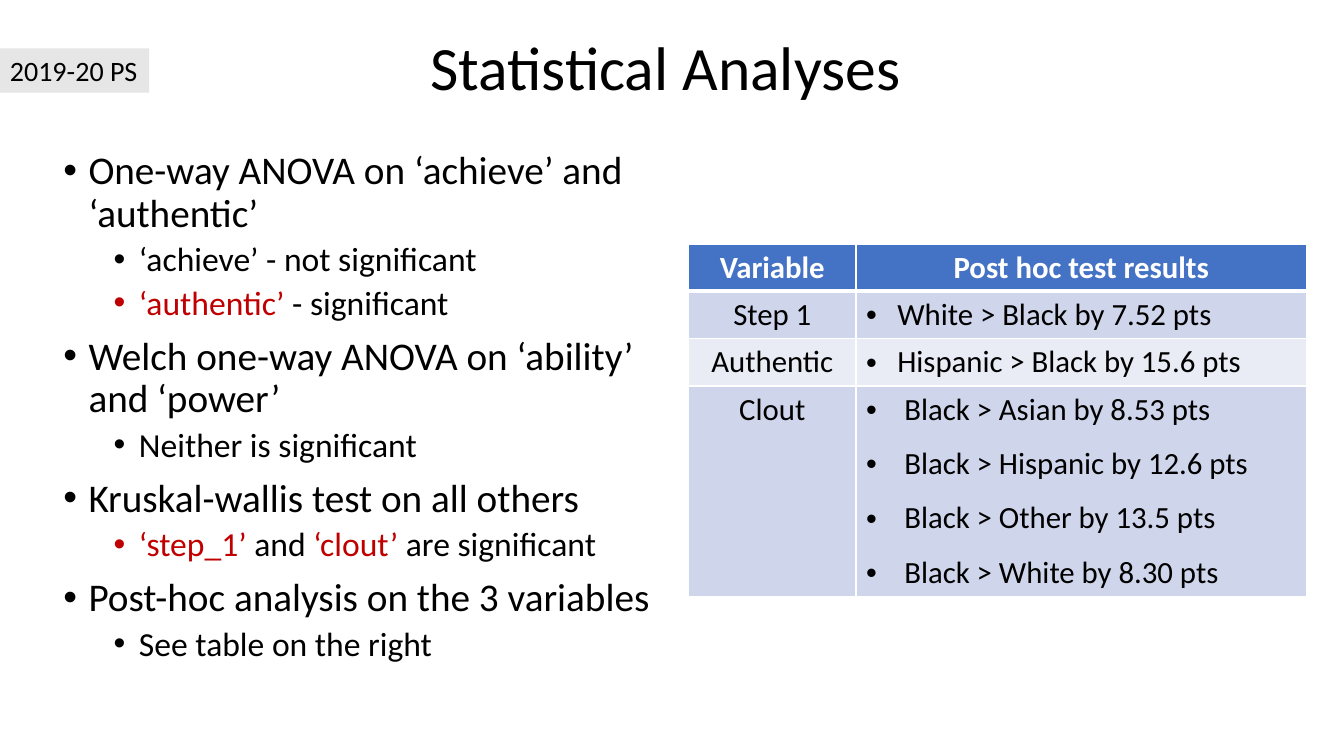
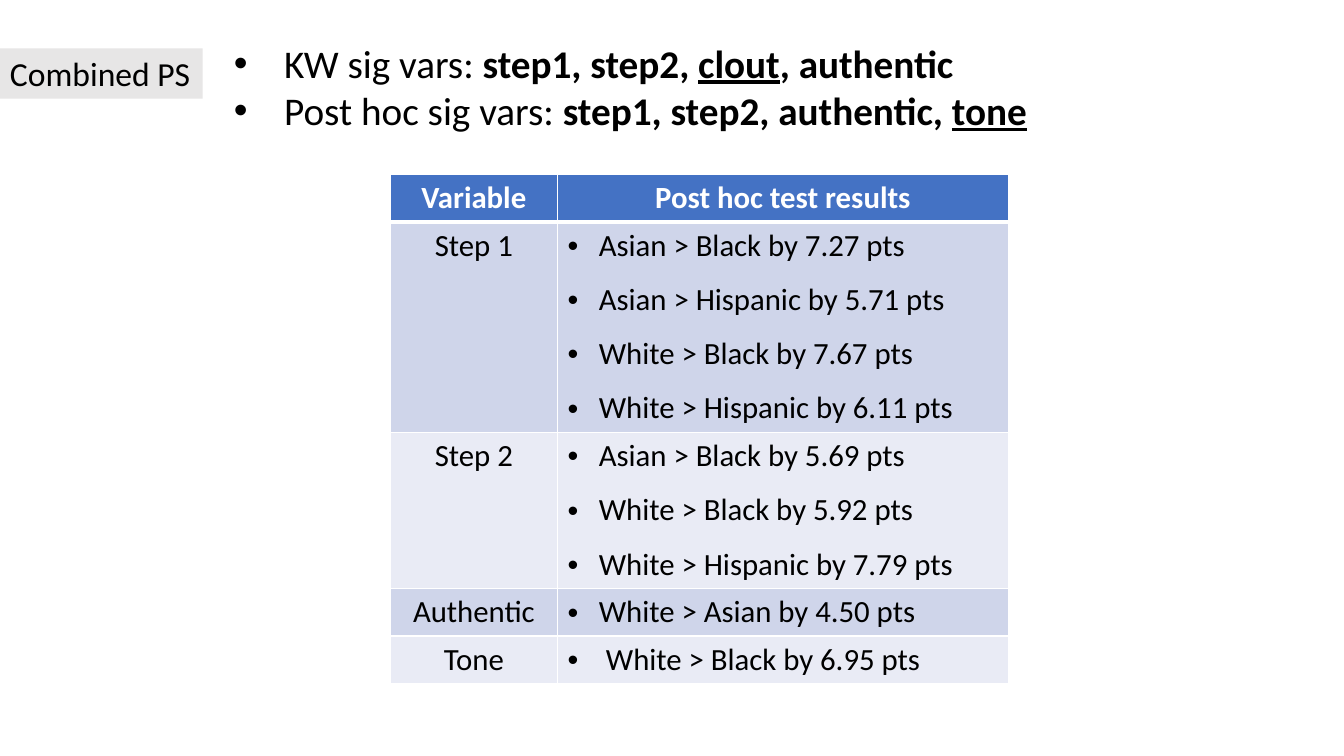
from dataclasses import dataclass, field
from typing import Any, NamedTuple

from lxml.etree import SubElement
from pptx import Presentation
from pptx.dml.color import RGBColor
from pptx.enum.text import MSO_ANCHOR, MSO_AUTO_SIZE, PP_ALIGN
from pptx.oxml.ns import qn
from pptx.util import Inches, Pt

# Shared style
FONT = "Calibri"
COLORS = {
    "text": "000000",
    "accent": "C00000",
    "tag": "E7E6E6",
    "header": "4472C4",
    "white": "FFFFFF",
    "odd": "CFD5EA",
    "even": "E9EBF5",
}
COL_WIDTHS = (1.66, 4.47)
LINE_H, LINE_STEP = 0.47, 0.54  # single-line row, each further line
CELL_SIZE = 22


class Run(NamedTuple):
    text: str
    color: str = "text"
    format: dict[str, Any] = {}


@dataclass
class Para:
    runs: list[Run]
    size: int
    indent: float = 0  # bullet width, no bullet when 0
    left: float = 0
    format: dict[str, Any] = field(default_factory=dict)


class Result(NamedTuple):
    variable: str
    findings: list[str]
    indent: float = 0.31


def rgb(name: str) -> RGBColor:
    return RGBColor.from_string(COLORS[name])


def set_all(obj: Any, values: dict[str, Any]) -> None:
    for name, value in values.items():
        setattr(obj, name, value)


def write(tf: Any, paras: list[Para]) -> None:
    """Fill a text frame with formatted paragraphs."""
    for i, para in enumerate(paras):
        p = tf.add_paragraph() if i else tf.paragraphs[0]
        set_all(p, para.format)
        if para.indent:
            pPr = p._p.get_or_add_pPr()
            pPr.set("marL", str(Inches(para.left + para.indent)))
            pPr.set("indent", str(-Inches(para.indent)))
            SubElement(pPr, qn("a:buFont"), typeface="Arial")
            SubElement(pPr, qn("a:buChar"), char="•")
        for run in para.runs:
            r = p.add_run()
            r.text = run.text
            set_all(r.font, {"name": FONT, "size": Pt(para.size), **run.format})
            r.font.color.rgb = rgb(run.color)


def add_text(s: Any, box: tuple[float, ...], paras: list[Para], **frame: Any) -> Any:
    sp = s.shapes.add_textbox(*map(Inches, box))
    set_all(sp.text_frame, {"word_wrap": True, **frame})
    write(sp.text_frame, paras)
    return sp


def add_tag(s: Any, text: str, width: float, height: float, size: int) -> None:
    """Grey label on the left edge."""
    sp = add_text(s, (0, 0.48, width, height), [Para([Run(text)], size)],
                  word_wrap=False, auto_size=MSO_AUTO_SIZE.SHAPE_TO_FIT_TEXT)
    sp.fill.solid()
    sp.fill.fore_color.rgb = rgb("tag")


def style_cell(cell: Any, fill: str, top: int, bottom: int) -> None:
    """White borders and a solid fill."""
    tcPr = cell._tc.get_or_add_tcPr()
    for side, width in {"L": 1, "R": 1, "T": top, "B": bottom}.items():
        ln = SubElement(tcPr, qn(f"a:ln{side}"), w=str(Pt(width)))
        SubElement(SubElement(ln, qn("a:solidFill")), qn("a:srgbClr"),
                   val=COLORS["white"])
    cell.fill.solid()
    cell.fill.fore_color.rgb = rgb(fill)


def add_results(s: Any, left: float, top: float, results: list[Result]) -> None:
    """Table of post hoc results, one row per variable."""
    heights = [LINE_H] + [LINE_H + LINE_STEP * (len(x.findings) - 1) for x in results]
    table = s.shapes.add_table(
        len(heights), len(COL_WIDTHS), Inches(left), Inches(top),
        Inches(sum(COL_WIDTHS)), Inches(sum(heights))).table
    table.horz_banding = False
    for col, width in zip(table.columns, COL_WIDTHS):
        col.width = Inches(width)
    for row, height in zip(table.rows, heights):
        row.height = Inches(height)

    center = {"alignment": PP_ALIGN.CENTER}
    spaced = {"space_before": Pt(6), "space_after": Pt(6)}
    for c, text in enumerate(("Variable", "Post hoc test results")):
        cell = table.cell(0, c)
        style_cell(cell, "header", 1, 3)
        write(cell.text_frame,
              [Para([Run(text, "white", {"bold": True})], CELL_SIZE, format=center)])
    for i, result in enumerate(results, 1):
        contents = (
            [Para([Run(result.variable)], CELL_SIZE, format=center)],
            [Para([Run(x)], CELL_SIZE, result.indent, format=spaced)
             for x in result.findings],
        )
        for c, paras in enumerate(contents):
            cell = table.cell(i, c)
            style_cell(cell, "odd" if i % 2 else "even", 3 if i == 1 else 1, 1)
            write(cell.text_frame, paras)


def point(text: str) -> Para:
    return Para([Run(text)], 28, 0.25,
                format={"line_spacing": 0.9, "space_before": Pt(10)})


def detail(*runs: Run) -> Para:
    return Para(list(runs), 24, 0.25, 0.5,
                {"line_spacing": 0.9, "space_before": Pt(5)})


def build_analyses(s: Any) -> None:
    add_text(s, (1.89, 0.31, 9.56, 0.78),
             [Para([Run("Statistical Analyses ")], 44,
                   format={"alignment": PP_ALIGN.CENTER, "line_spacing": 0.9})],
             vertical_anchor=MSO_ANCHOR.MIDDLE)
    add_text(s, (0.53, 1.45, 6.13, 5.46), [
        point("One-way ANOVA on ‘achieve’ and ‘authentic’"),
        detail(Run("‘achieve’ - not significant")),
        detail(Run("‘authentic’", "accent"), Run(" - significant")),
        point("Welch one-way ANOVA on ‘ability’ and ‘power’"),
        detail(Run("Neither is significant")),
        point("Kruskal-wallis test on all others"),
        detail(Run("‘step_1’ ", "accent"), Run("and "),
               Run("‘clout’ ", "accent"), Run("are significant")),
        point("Post-hoc analysis on the 3 variables"),
        detail(Run("See table on the right")),
    ])
    add_results(s, 6.83, 2.42, [
        Result("Step 1", ["White > Black by 7.52 pts"]),
        Result("Authentic", ["Hispanic > Black by 15.6 pts"]),
        Result("Clout", ["Black > Asian by 8.53 pts",
                         "Black > Hispanic by 12.6 pts",
                         "Black > Other by 13.5 pts",
                         "Black > White by 8.30 pts"], 0.38),
    ])
    add_tag(s, "2019-20 PS", 1.48, 0.44, 20)


def build_combined(s: Any) -> None:
    add_results(s, 3.87, 1.73, [
        Result("Step 1", ["Asian > Black by 7.27 pts",
                          "Asian > Hispanic by 5.71 pts",
                          "White > Black by 7.67 pts",
                          "White > Hispanic by 6.11 pts"]),
        Result("Step 2", ["Asian > Black by 5.69 pts",
                          "White > Black by 5.92 pts",
                          "White > Hispanic by 7.79 pts"]),
        Result("Authentic", ["White > Asian by 4.50 pts"]),
        Result("Tone", ["White > Black by 6.95 pts"], 0.38),
    ])
    add_tag(s, "Combined PS", 2.01, 0.5, 24)
    bold = {"bold": True}
    marked = {"bold": True, "underline": True}
    add_text(s, (2.22, 0.34, 8.88, 1.04), [
        Para([Run("KW sig vars: "), Run("step1, step2, ", format=bold),
              Run("clout", format=marked), Run(", authentic", format=bold)], 28, 0.5),
        Para([Run("Post hoc sig vars: "),
              Run("step1, step2, authentic, ", format=bold),
              Run("tone", format=marked)], 28, 0.5),
    ], auto_size=MSO_AUTO_SIZE.SHAPE_TO_FIT_TEXT)


def main() -> None:
    prs = Presentation()
    set_all(prs, {"slide_width": Inches(13.33), "slide_height": Inches(7.5)})
    for build in (build_analyses, build_combined):
        build(prs.slides.add_slide(prs.slide_layouts[6]))
    prs.save("out.pptx")


if __name__ == "__main__":
    main()
